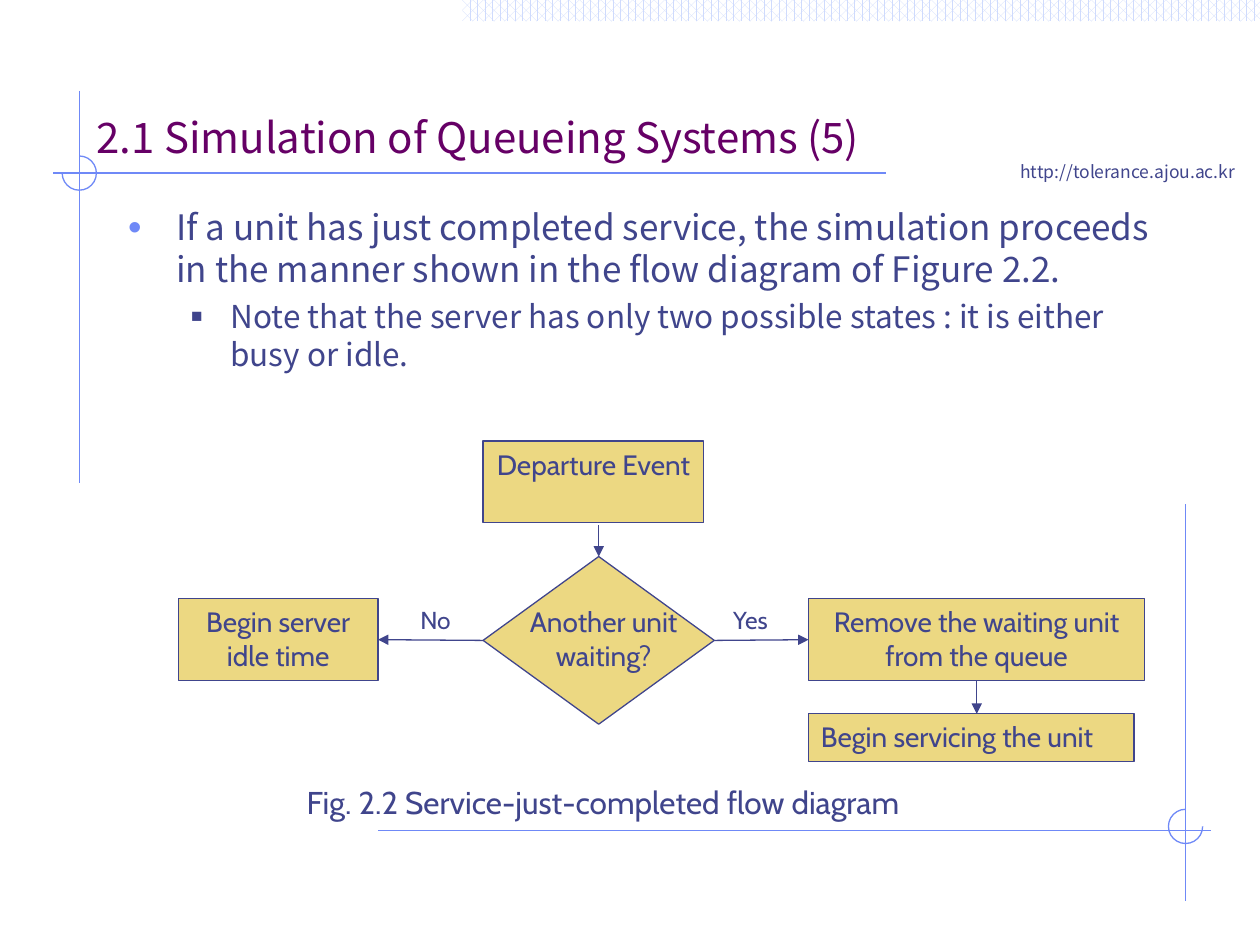
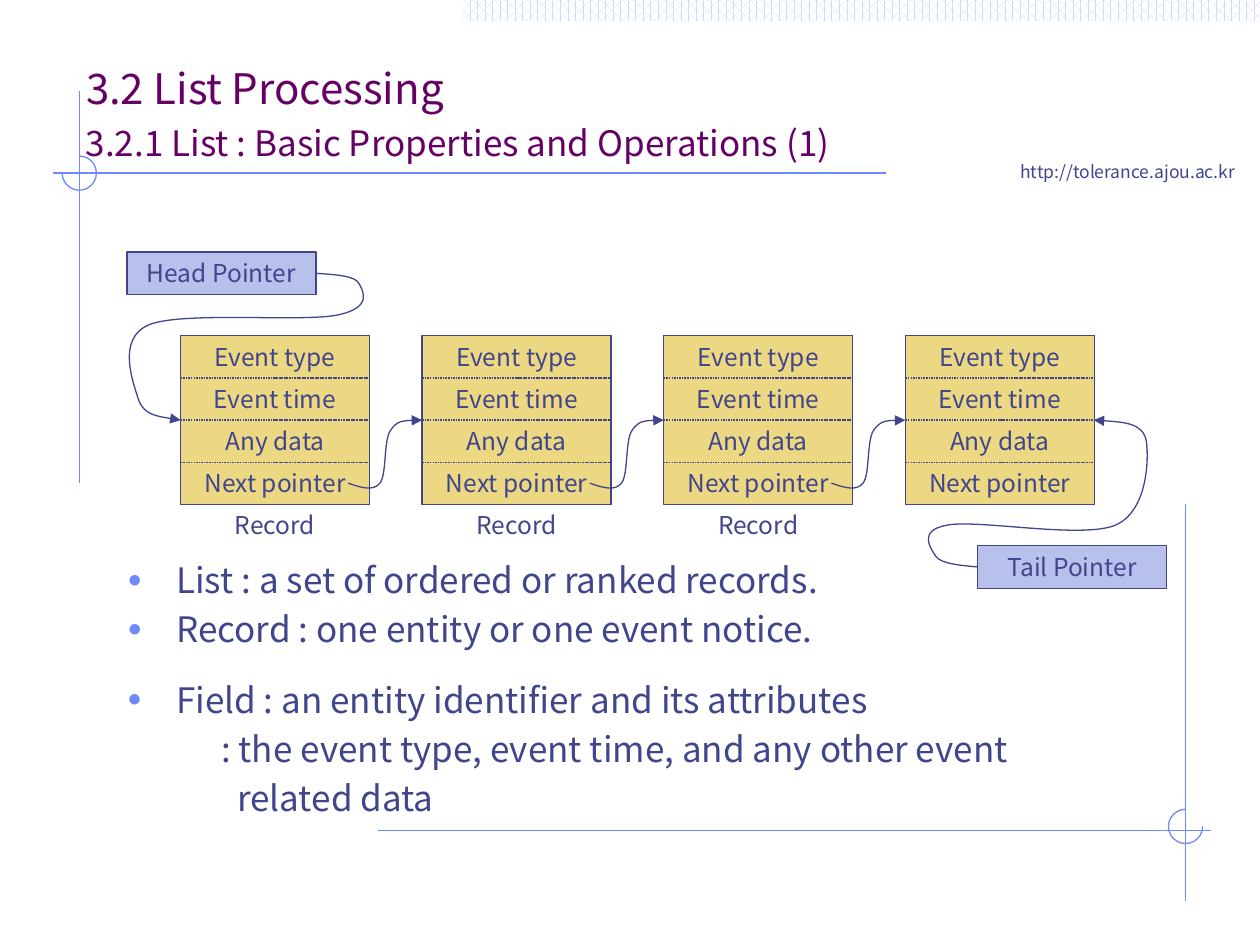
from itertools import count

from lxml.etree import SubElement
from pptx import Presentation
from pptx.dml.color import RGBColor
from pptx.enum.dml import MSO_LINE, MSO_PATTERN
from pptx.enum.shapes import MSO_CONNECTOR, MSO_SHAPE
from pptx.enum.text import MSO_ANCHOR, MSO_AUTO_SIZE, PP_ALIGN
from pptx.oxml.ns import qn
from pptx.util import Cm, Pt

INK = RGBColor(0x40, 0x45, 0x8C)
PLUM = RGBColor(0x66, 0x00, 0x66)
FRAME_BLUE = RGBColor(0x6F, 0x89, 0xF7)
BAND_BLUE = RGBColor(0xCF, 0xDB, 0xFD)
SAND = RGBColor(0xEC, 0xD8, 0x82)
LAVENDER = RGBColor(0xB7, 0xC1, 0xEB)
WHITE = RGBColor(0xFF, 0xFF, 0xFF)

MAIN_FONT = "Noto Sans CJK KR"
DIAGRAM_FONT = "Cabin"
LINE_HEIGHT = 1.2

BULLET = {"margin": 0.97, "indent": -0.97, "char": "•", "color": FRAME_BLUE, "percent": 110}
SUB_BULLET = {"margin": 2.06, "indent": -0.79, "char": "■", "color": INK, "percent": 60}


def set_attributes(target, formats):
    for name, value in formats.items():
        setattr(target, name, value)


class Deck:
    def __init__(self):
        self.presentation = Presentation()
        set_attributes(self.presentation, {"slide_width": Cm(25.4), "slide_height": Cm(19.05)})
        self.layout = self.presentation.slide_layouts[1]
        self.slide = None

    def new_slide(self):
        self.slide = self.presentation.slides.add_slide(self.layout)

    def add_text(self, paragraph, text, size=14, font=MAIN_FONT, color=INK, align=PP_ALIGN.LEFT):
        run = paragraph.add_run()
        run.text = text
        set_attributes(paragraph, {"alignment": align, "line_spacing": Pt(size * LINE_HEIGHT),
                                   "space_before": Pt(0)})
        set_attributes(run.font, {"name": font, "size": Pt(size)})
        run.font.color.rgb = color

    def prepare(self, shape, box, anchor=MSO_ANCHOR.TOP, wrap=True):
        names = ("left", "top", "width", "height")
        set_attributes(shape, dict(zip(names, map(Cm, box))))
        set_attributes(shape.text_frame, {"word_wrap": wrap, "auto_size": MSO_AUTO_SIZE.NONE,
                                          "vertical_anchor": anchor})
        return shape.text_frame

    def title(self, text, box):
        frame = self.prepare(self.slide.shapes.title, box, MSO_ANCHOR.BOTTOM)
        self.add_text(frame.paragraphs[0], text, 24, color=PLUM)

    def text(self, text, box, anchor=MSO_ANCHOR.TOP, wrap=True, **formats):
        shape = self.slide.shapes.add_textbox(*map(Cm, box))
        frame = self.prepare(shape, box, anchor, wrap)
        self.add_text(frame.paragraphs[0], text, **formats)

    def bullet(self, paragraph, margin, indent=0, char=None, color=None, percent=100):
        properties = paragraph._p.get_or_add_pPr()
        properties.set("marL", str(Cm(margin)))
        properties.set("indent", str(Cm(indent)))
        if char is None:
            SubElement(properties, qn("a:buNone"))
            return
        bullet_color = SubElement(properties, qn("a:buClr"))
        SubElement(bullet_color, qn("a:srgbClr"), val=str(color))
        SubElement(properties, qn("a:buSzPct"), val=str(percent * 1000))
        SubElement(properties, qn("a:buFont"), typeface="Arial")
        SubElement(properties, qn("a:buChar"), char=char)

    def fill_list(self, shape, box, items):
        frame = self.prepare(shape, box)
        for number, (text, level, size, style) in enumerate(items):
            paragraph = frame.add_paragraph() if number else frame.paragraphs[0]
            self.bullet(paragraph, **style)
            self.add_text(paragraph, text, size)
            set_attributes(paragraph, {"level": level, "space_before": Pt(4 if number else 0)})

    def body(self, box, items):
        self.fill_list(self.slide.placeholders[1], box, items)

    def text_list(self, box, items):
        self.fill_list(self.slide.shapes.add_textbox(*map(Cm, box)), box, items)

    def outline(self, shape, color=INK, arrow=False):
        shape.line.color.rgb = color
        shape.line.width = Pt(0.75)
        if arrow:
            SubElement(shape.line._get_or_add_ln(), qn("a:tailEnd"), type="triangle")

    def shape(self, kind, box, fill=None, line=INK, text=None, dash=None, **formats):
        shape = self.slide.shapes.add_shape(kind, *map(Cm, box))
        shape.shadow.inherit = False
        if fill is None:
            shape.fill.background()
        else:
            shape.fill.solid()
            shape.fill.fore_color.rgb = fill
        self.outline(shape, line)
        if dash:
            shape.line.dash_style = dash
        if text:
            frame = self.prepare(shape, box)
            self.add_text(frame.paragraphs[0], text, **formats)
        return shape

    def line(self, start, end, color=INK, arrow=False):
        connector = self.slide.shapes.add_connector(
            MSO_CONNECTOR.STRAIGHT, *map(Cm, (*start, *end)))
        self.outline(connector, color, arrow)
        SubElement(connector.element.spPr, qn("a:effectLst"))
        return connector

    def curve(self, points):
        vertices = [(Cm(x), Cm(y)) for x, y in points]
        builder = self.slide.shapes.build_freeform(*vertices[0])
        builder.add_line_segments(vertices[1:], close=False)
        shape = builder.convert_to_shape()
        shape.shadow.inherit = False
        shape.fill.background()
        self.outline(shape, arrow=True)
        route = shape.element.find(".//" + qn("a:path"))
        segments = route.findall(qn("a:lnTo"))
        for first in range(0, len(segments), 3):
            bezier = SubElement(route, qn("a:cubicBezTo"))
            for segment in segments[first:first + 3]:
                bezier.append(segment[0])
                route.remove(segment)

    def frame(self):
        existing = len(self.slide.shapes)
        band = self.shape(MSO_SHAPE.RECTANGLE, (9.32, 0, 16.08, 0.43), WHITE)
        band.fill.patterned()
        band.fill.pattern = MSO_PATTERN.PERCENT_60
        band.fill.fore_color.rgb = BAND_BLUE
        band.fill.back_color.rgb = WHITE
        band.line.fill.background()
        self.text("http://tolerance.ajou.ac.kr", (20.32, 3.12, 4.83, 0.69), wrap=False, size=10)
        for start, end in (((7.62, 16.74), (24.41, 16.74)), ((23.9, 10.16), (23.9, 18.16)),
                           ((1.6, 1.83), (1.6, 9.73)), ((1.07, 3.49), (17.86, 3.49))):
            self.line(start, end, FRAME_BLUE)
        diameter = 0.69
        for x, y, first, last in ((23.9, 16.66, 0, 162), (1.6, 3.49, 162, 108)):
            corner = (x - diameter / 2, y - diameter / 2)
            arc = self.shape(MSO_SHAPE.ARC, (*corner, diameter, diameter), line=FRAME_BLUE)
            arc.adjustments[0] = first
            arc.adjustments[1] = last
        identifiers = count(100)
        for shape in list(self.slide.shapes)[existing:]:
            shape.element.xpath(".//p:cNvPr")[0].set("id", str(next(identifiers)))
            self.layout.shapes.element.append(shape.element)


def build_departure_slide(deck):
    deck.new_slide()
    deck.frame()
    deck.title("2.1 Simulation of Queueing Systems (5)", (1.69, 1.69, 18.63, 1.7))
    deck.body((2.33, 4.02, 21.59, 12.7), (
        ("If a unit has just completed service, the simulation proceeds in the manner "
         "shown in the flow diagram of Figure 2.2.", 0, 20, BULLET),
        ("Note that the server has only two possible states : it is either busy or idle.",
         1, 18, SUB_BULLET)))

    label = {"size": 16, "font": DIAGRAM_FONT, "align": PP_ALIGN.CENTER}
    middle = 12.07
    decision = deck.shape(MSO_SHAPE.FLOWCHART_DECISION, (9.74, 11.22, 4.66, 3.38), SAND)

    def step(text, box, **changes):
        return deck.shape(MSO_SHAPE.RECTANGLE, box, SAND, text=text, **{**label, **changes})

    step("Departure Event", (9.74, 8.89, 4.45, 1.65))
    remove = step("Remove the waiting unit from the queue", (16.3, middle, 6.78, 1.65))
    step("Begin servicing the unit", (16.3, 14.39, 6.56, 0.96), align=PP_ALIGN.LEFT)
    idle = step("Begin server idle time", (3.6, middle, 4.02, 1.65))
    deck.text("Another unit waiting?", (10.37, middle, 3.6, 1.65), **label)

    deck.line((12.07, 10.59), (12.07, 11.22), arrow=True).end_connect(decision, 0)
    for side, target, target_side in ((1, idle, 3), (3, remove, 1)):
        arrow = deck.line((0, 0), (1, 0), arrow=True)
        arrow.begin_connect(decision, side)
        arrow.end_connect(target, target_side)
    deck.line((19.69, 13.72), (19.69, 14.39), arrow=True).begin_connect(remove, 2)

    for answer, left in (("Yes", 14.39), ("No", 8.04)):
        deck.text(answer, (left, middle, 1.48, 0.85), **{**label, "size": 14})
    deck.text("Fig. 2.2 Service-just-completed flow diagram", (5.93, 15.66, 13.34, 1.02),
              size=18, font=DIAGRAM_FONT)


def build_list_slide(deck):
    deck.new_slide()
    deck.title("3.2 List Processing", (1.48, 0.72, 17.99, 1.69))
    deck.body((2.33, 11.14, 21.59, 2.24), (
        ("List : a set of ordered or ranked records.", 0, 20, BULLET),
        ("Record : one entity or one event notice.", 0, 20, BULLET)))
    deck.text("3.2.1 List : Basic Properties and Operations (1)", (1.48, 1.73, 19.47, 1.69),
              MSO_ANCHOR.BOTTOM, size=20, color=PLUM)

    fields = ("Event type", "Event time", "Any data", "Next pointer")
    record_count, first_left, pitch = 4, 3.64, 4.87
    top, width, row = 6.77, 3.81, 0.85
    lefts = [first_left + pitch * number for number in range(record_count)]
    for left in lefts:
        deck.shape(MSO_SHAPE.RECTANGLE, (left, top, width, row * len(fields)), SAND)
        for number, field in enumerate(fields):
            deck.shape(MSO_SHAPE.RECTANGLE, (left, top + row * number, width, row), text=field,
                       dash=MSO_LINE.ROUND_DOT, align=PP_ALIGN.CENTER)
    for name, left, pointer_top in (("Head Pointer", 2.56, 5.08), ("Tail Pointer", 19.71, 11)):
        deck.shape(MSO_SHAPE.RECTANGLE, (left, pointer_top, width, 0.86), LAVENDER, text=name,
                   align=PP_ALIGN.CENTER)

    next_link = ((3.38, 9.74), (3.63, 9.83), (3.89, 9.91), (4.02, 9.74), (4.16, 9.56),
                 (4.09, 8.89), (4.23, 8.68), (4.37, 8.47), (4.62, 8.47), (4.87, 8.47))
    for left in lefts[:-1]:
        deck.curve([(left + x, y) for x, y in next_link])
        deck.text("Record", (left, 10.16, width, row), align=PP_ALIGN.CENTER)
    deck.curve(((6.37, 5.51), (6.78, 5.54), (7.16, 5.56), (7.24, 5.72), (7.32, 5.87),
                (7.52, 6.2), (6.81, 6.35), (6.1, 6.5), (3.66, 6.27), (3, 6.55), (2.34, 6.83),
                (2.69, 7.72), (2.79, 8.05), (2.9, 8.36), (3.25, 8.41), (3.64, 8.47)))
    deck.curve(((19.71, 11.43), (19.35, 11.4), (18.97, 11.36), (18.87, 11.22), (18.77, 11.07),
                (18.49, 10.7), (19.08, 10.59), (19.69, 10.46), (21.79, 10.87), (22.48, 10.59),
                (23.14, 10.31), (23.16, 9.25), (23.11, 8.89), (23.04, 8.53), (22.56, 8.5),
                (22.05, 8.47)))

    deck.text_list((2.33, 13.55, 21.59, 3.18), (
        ("Field : an entity identifier and its attributes", 0, 20, BULLET),
        (": the event type, event time, and any other event", 0, 20, {"margin": 1.88}),
        ("related data", 0, 20, {"margin": 2.2})))


def main():
    deck = Deck()
    build_departure_slide(deck)
    build_list_slide(deck)
    deck.presentation.save("out.pptx")


if __name__ == "__main__":
    main()
